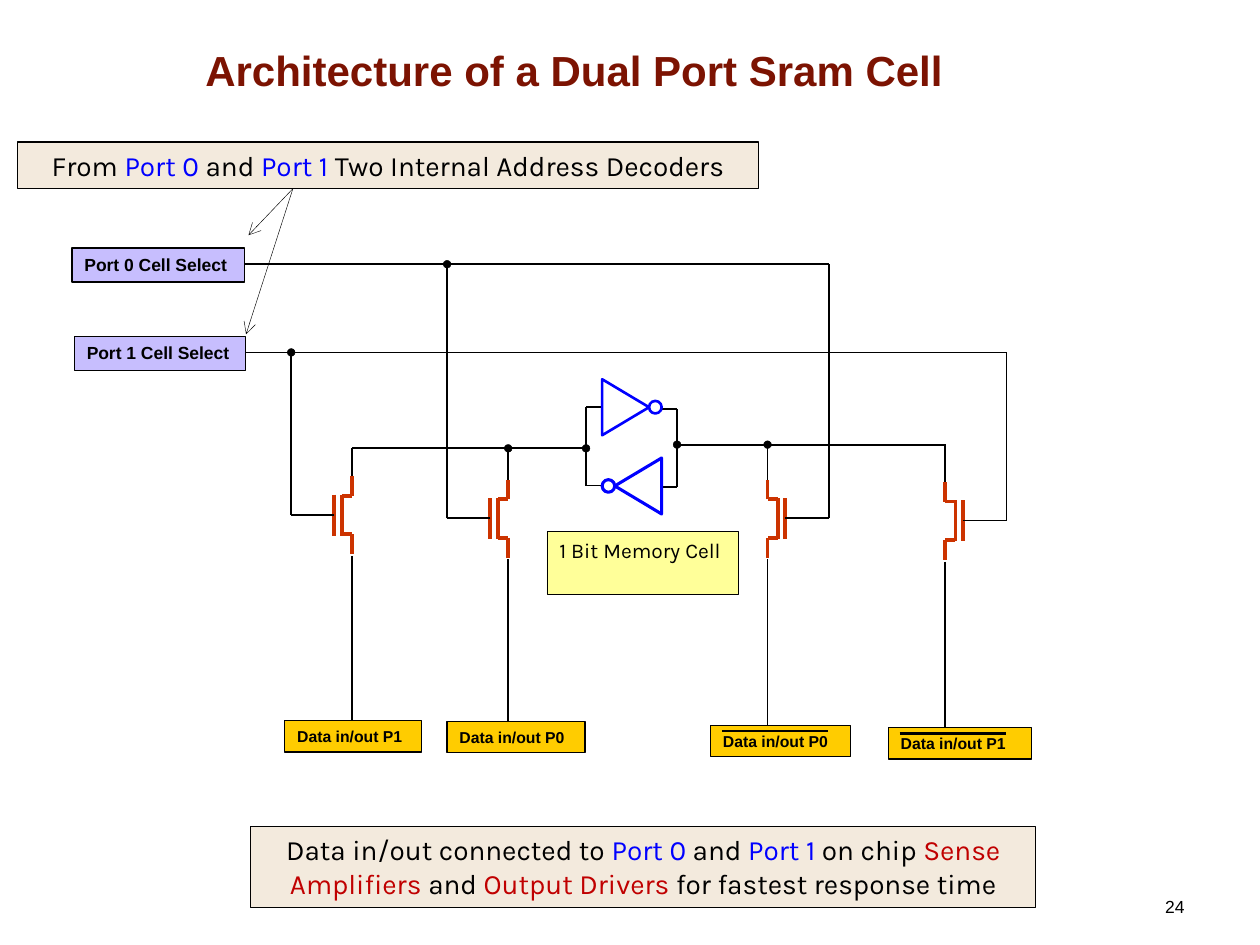
from pptx import Presentation
from pptx.dml.color import RGBColor
from pptx.enum.shapes import MSO_CONNECTOR as Connector, MSO_SHAPE as Preset
from pptx.enum.text import MSO_ANCHOR as Anchor, PP_ALIGN as Align
from pptx.oxml.ns import qn
from pptx.util import Pt
from lxml.etree import SubElement

BLACK, BLUE, RED, RUST = "000000", "0000FF", "C00000", "CC3300"
BEIGE, LILAC, GOLD, YELLOW, MAROON = "F3EADD", "C7BEFE", "FFCC00", "FFFF99", "7C1302"


def color(value):
    return RGBColor.from_string(value)


def write(shape, runs, size, font, align=Align.LEFT, bold=False, anchor=Anchor.TOP):
    frame = shape.text_frame
    frame.word_wrap = True
    frame.vertical_anchor = anchor
    paragraph = frame.paragraphs[0]
    paragraph.alignment = align
    for text, ink in runs:
        run = paragraph.add_run()
        run.text = text
        run.font.size = Pt(size)
        run.font.name = font
        run.font.bold = bold
        run.font.color.rgb = color(ink)


def text_box(slide, box, runs, size, font, **style):
    shape = slide.shapes.add_textbox(*map(Pt, box))
    write(shape, runs, size, font, **style)
    return shape


def paint(shape, fill, line, width):
    shape.shadow.inherit = False
    if fill:
        shape.fill.solid()
        shape.fill.fore_color.rgb = color(fill)
    else:
        shape.fill.background()
    shape.line.color.rgb = color(line)
    shape.line.width = Pt(width)


def label(slide, box, fill, runs, size, font, width=0.75, **style):
    shape = slide.shapes.add_shape(Preset.RECTANGLE, *map(Pt, box))
    paint(shape, fill, BLACK, width)
    write(shape, runs, size, font, **style)


def wire(slide, start, end, ink=BLACK, width=1, arrow=False):
    line = slide.shapes.add_connector(Connector.STRAIGHT, *map(Pt, (*start, *end)))
    line.line.color.rgb = color(ink)
    line.line.width = Pt(width)
    if arrow:
        SubElement(line.line._get_or_add_ln(), qn("a:tailEnd"), type="arrow")
    SubElement(line._element.spPr, qn("a:effectLst"))


def path_of_wires(slide, points, **style):
    for start, end in zip(points, points[1:]):
        wire(slide, start, end, **style)


def circle(slide, center, size, fill, line, width):
    x, y = center
    shape = slide.shapes.add_shape(
        Preset.OVAL, Pt(x - size / 2), Pt(y - size / 2), Pt(size), Pt(size))
    paint(shape, fill, line, width)


def node(slide, x, y):
    circle(slide, (x, y), 4.4, BLACK, BLACK, 0.25)


def transistor(slide, stem, top, side):
    gate, channel = stem + 10.2 * side, stem + 5.8 * side
    bar_top, bar_bottom = top + 10.5, top + 34
    upper, lower = top + 11.2, top + 33
    wire(slide, (gate, bar_top), (gate, bar_bottom), RUST, 2.25)
    wire(slide, (channel, bar_top), (channel, bar_bottom), RUST, 2.25)
    path_of_wires(slide, [(channel, upper), (stem, upper), (stem, top)], ink=RUST, width=2.25)
    path_of_wires(slide, [(channel, lower), (stem, lower), (stem, top + 44.5)], ink=RUST, width=2.25)


def inverter(slide, box, side, width):
    left, top, across, height = box
    middle = top + height / 2
    base, tip = (left, left + across) if side > 0 else (left + across, left)
    point = tip - 7.2 * side
    builder = slide.shapes.build_freeform(Pt(base), Pt(top))
    builder.add_line_segments([(Pt(point), Pt(middle)), (Pt(base), Pt(top + height))])
    paint(builder.convert_to_shape(), None, BLUE, width)
    circle(slide, (tip - 3.6 * side, middle), 7.2, None, BLUE, width)


def data_column(slide, box, name, stem, top, side, bus, gate_end, select):
    left, box_top, width, height = box
    gate_y = top + 22
    wire(slide, (stem, bus), (stem, top + 6))
    transistor(slide, stem, top, side)
    wire(slide, (stem, top + 45.5), (stem, box_top))
    path_of_wires(slide, [(stem + 10.2 * side, gate_y), (gate_end, gate_y), (gate_end, select)])
    label(slide, box, GOLD, [(name, BLACK)], 9, "Arial", bold=True)
    if side > 0:
        wire(slide, (left + 6.5, box_top + 3.4), (left + 67, box_top + 3.4), width=1.25)


def select_line(slide, box, name, y, end, junction):
    left, top, width, height = box
    wire(slide, (left + width, y), (end, y))
    label(slide, box, LILAC, [(name, BLACK)], 10, "Arial", bold=True)
    node(slide, junction, y)


def memory_cell(slide, box):
    left, top, width, height = box
    right = left + width
    upper, lower = top + 16, top + 60.8
    left_bus, right_bus = 256.2, 254.1
    inner_left, inner_right = left + 9.2, right - 9.4
    path_of_wires(slide, [(inner_left, upper), (left, upper), (left, lower), (inner_left, lower)])
    path_of_wires(slide, [(inner_right, upper + 1), (right, upper + 1),
                          (right, lower + 1), (inner_right, lower + 1)])
    wire(slide, (201.2, left_bus), (left, left_bus))
    wire(slide, (right, right_bus), (540.5, right_bus))
    inverter(slide, (inner_left, top, 34, 32), 1, 1.5)
    inverter(slide, (inner_left, top + 45, 34, 32), -1, 1.75)
    for x, y in [(290.4, left_bus), (left, left_bus), (right, right_bus), (438.6, right_bus)]:
        node(slide, x, y)
    label(slide, (312.5, 303.8, 109.5, 36), YELLOW,
          [("1 Bit Memory Cell", BLACK)], 12, "Karla", width=0.25)


def decoder_note(slide, box):
    label(slide, box, BEIGE,
          [("From ", BLACK), ("Port 0", BLUE), (" and ", BLACK), ("Port 1", BLUE),
           (" Two Internal Address Decoders", BLACK)], 16, "Karla", align=Align.CENTER)
    start = (167.4, box[1] + box[3])
    for end in [(142, 134.4), (140.6, 191)]:
        wire(slide, start, end, width=0.25, arrow=True)


def output_note(slide, box):
    label(slide, box, BEIGE,
          [("Data in/out connected to ", BLACK), ("Port 0", BLUE), (" and ", BLACK),
           ("Port 1", BLUE), (" on chip ", BLACK), ("Sense Amplifiers ", RED),
           ("and ", BLACK), ("Output Drivers ", RED),
           ("for fastest response time", BLACK)], 16, "Karla", align=Align.CENTER)


def heading(slide, box):
    title = text_box(slide, box, [("Architecture of a Dual Port Sram Cell", MAROON)], 24,
                     "Arial", align=Align.CENTER, bold=True, anchor=Anchor.BOTTOM)
    frame = title.text_frame
    frame.margin_left = frame.margin_right = frame.margin_top = frame.margin_bottom = 0


def main():
    presentation = Presentation()
    presentation.slide_width, presentation.slide_height = Pt(720), Pt(540)
    slide = presentation.slides.add_slide(presentation.slide_layouts[6])
    port_0, port_1 = 151, 201.4
    heading(slide, (31, 15, 594, 39))
    text_box(slide, (516.2, 508.3, 167.8, 20.2), [("24", BLACK)], 10, "Arial", align=Align.RIGHT)
    select_line(slide, (41.2, 141.8, 98.6, 19.4), "Port 0 Cell Select", port_0, 473.6, 255.5)
    select_line(slide, (42.5, 192.2, 98, 19.4), "Port 1 Cell Select", port_1, 575.6, 166.4)
    memory_cell(slide, (334.9, 216.7, 52, 77))
    columns = [
        ((162.8, 411.8, 78, 18), "Data in/out P1", 201.2, 272.2, -1, 256.2, 166.4, port_1),
        ((255.5, 412.2, 78.8, 18), "Data in/out P0", 290.4, 274.2, -1, 256.2, 255.5, port_0),
        ((406, 414.5, 80.2, 18), "Data in/out P0", 438.6, 274.2, 1, 254.1, 473.6, port_0),
        ((507.6, 415.8, 81.8, 18), "Data in/out P1", 540.2, 275.4, 1, 254.1, 575.2, port_1),
    ]
    for column in columns:
        data_column(slide, *column)
    decoder_note(slide, (10, 81.2, 423.4, 26.6))
    output_note(slide, (143.3, 472.4, 448.6, 46))
    presentation.save("out.pptx")


if __name__ == "__main__":
    main()
